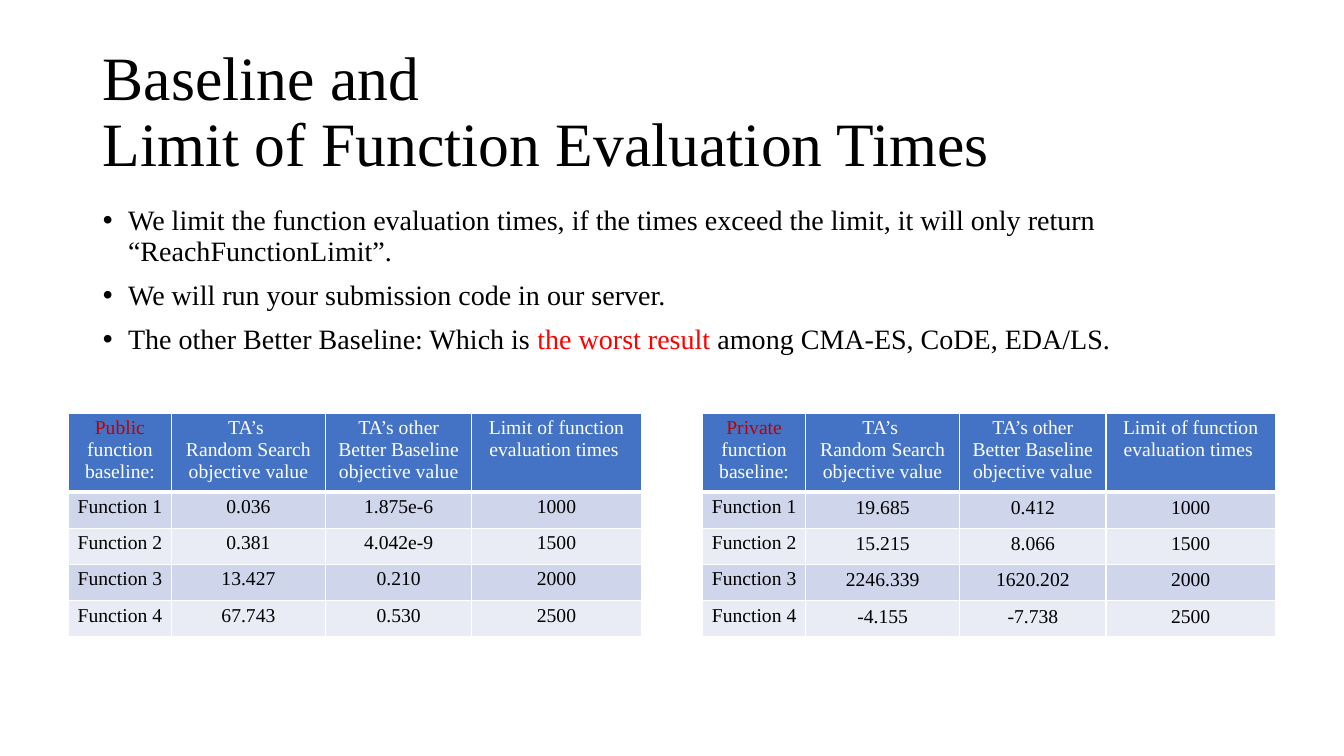
from lxml.etree import SubElement
from pptx import Presentation
from pptx.dml.color import RGBColor
from pptx.enum.text import MSO_ANCHOR as Anchor, MSO_AUTO_SIZE as AutoSize, PP_ALIGN as Align
from pptx.oxml.ns import qn
from pptx.util import Inches, Pt

BLACK = RGBColor(0x00, 0x00, 0x00)
WHITE = RGBColor(0xFF, 0xFF, 0xFF)
RED = RGBColor(0xFF, 0x00, 0x00)
DARK_RED = RGBColor(0xC0, 0x00, 0x00)
BLUE = RGBColor(0x44, 0x72, 0xC4)
BANDS = [RGBColor(0xCF, 0xD5, 0xEA), RGBColor(0xE9, 0xEB, 0xF5)]

COLUMN_WIDTHS = [1.02, 1.53, 1.45, 1.68]
ROW_HEIGHTS = [0.78] + [0.36] * 4
TIGHT, ROOMY = (0.07, 0.04), (0.1, 0.05)
LIMITS = ["1000", "1500", "2000", "2500"]

BULLETS = [
    [("We limit the function evaluation times, if the times exceed the limit, "
      "it will only return “ReachFunctionLimit”.", BLACK)],
    [("We will run your submission code in our server.", BLACK)],
    [("The other Better Baseline: Which is ", BLACK),
     ("the worst result ", RED),
     ("among CMA-ES, CoDE, EDA/LS.", BLACK)],
]
HEADINGS = [
    ["TA’s ", "Random Search", "objective value"],
    ["TA’s other Better Baseline objective value"],
    ["Limit of function evaluation times "],
]
# Scope, left edge, value cell margins, random search values, better baseline values
BASELINES = [
    ("Public", 0.68, TIGHT,
     ["0.036", "0.381", "13.427", "67.743"],
     ["1.875e-6", "4.042e-9", "0.210", "0.530"]),
    ("Private", 6.97, ROOMY,
     ["19.685", "15.215", "2246.339", "-4.155"],
     ["0.412", "8.066", "1620.202", "-7.738"]),
]


class SlideBuilder:
    def __init__(self, page, font_name):
        self.page = page
        self.font_name = font_name

    def add_spans(self, para, spans, size, align):
        """Fill a paragraph with (text, colour) spans."""
        para.alignment = align
        para.font.name = self.font_name
        para.font.size = Pt(size)
        para.font.bold = False
        for text, color in spans:
            span = para.add_run()
            span.text = text
            span.font.color.rgb = color

    def place(self, holder, left, top, width, height, anchor):
        holder.left, holder.top = Inches(left), Inches(top)
        holder.width, holder.height = Inches(width), Inches(height)
        frame = holder.text_frame
        frame.word_wrap = True
        frame.auto_size = AutoSize.NONE
        frame.vertical_anchor = anchor
        return frame

    def title(self, lines):
        frame = self.place(self.page.shapes.title, 0.92, 0.4, 11.5, 1.45, Anchor.MIDDLE)
        para = frame.paragraphs[0]
        para.line_spacing = 0.9
        for index, line in enumerate(lines):
            if index:
                para.add_line_break()
            self.add_spans(para, [(line, BLACK)], 44, Align.LEFT)

    def bullets(self, items):
        frame = self.place(self.page.placeholders[1], 0.92, 2, 11.5, 4.76, Anchor.TOP)
        for index, spans in enumerate(items):
            para = frame.add_paragraph() if index else frame.paragraphs[0]
            para.line_spacing = 0.9
            para.space_before = Pt(10)
            self.add_spans(para, spans, 20, Align.LEFT)
            properties = para._p.get_or_add_pPr()
            properties.set("marL", str(Inches(0.25)))
            properties.set("indent", str(Inches(-0.25)))

    def borders(self, cell, bottom_width):
        properties = cell._tc.get_or_add_tcPr()
        for side, width in (("L", 1), ("R", 1), ("T", 1), ("B", bottom_width)):
            line = SubElement(properties, qn(f"a:ln{side}"), w=str(Pt(width)))
            fill = SubElement(line, qn("a:solidFill"))
            SubElement(fill, qn("a:srgbClr"), val=str(WHITE))

    def cell(self, cell, paragraphs, fill, margins=TIGHT, bottom_width=1):
        cell.margin_left = cell.margin_right = Inches(margins[0])
        cell.margin_top = cell.margin_bottom = Inches(margins[1])
        cell.vertical_anchor = Anchor.TOP
        self.borders(cell, bottom_width)
        cell.fill.solid()
        cell.fill.fore_color.rgb = fill
        frame = cell.text_frame
        for index, spans in enumerate(paragraphs):
            para = frame.add_paragraph() if index else frame.paragraphs[0]
            self.add_spans(para, spans, 14, Align.CENTER)

    def baseline_table(self, scope, left, margins, random_search, better):
        table = self.page.shapes.add_table(
            len(ROW_HEIGHTS), len(COLUMN_WIDTHS), Inches(left), Inches(4.1),
            Inches(sum(COLUMN_WIDTHS)), Inches(sum(ROW_HEIGHTS))).table
        for column, width in zip(table.columns, COLUMN_WIDTHS):
            column.width = Inches(width)
        for row, height in zip(table.rows, ROW_HEIGHTS):
            row.height = Inches(height)

        header = [[[(scope, DARK_RED), (" function baseline:", WHITE)]]]
        header += [[[(line, WHITE)] for line in lines] for lines in HEADINGS]
        for column, paragraphs in enumerate(header):
            self.cell(table.cell(0, column), paragraphs, BLUE, bottom_width=3)

        for row, values in enumerate(zip(random_search, better, LIMITS), start=1):
            for column, text in enumerate((f"Function {row}", *values)):
                self.cell(table.cell(row, column), [[(text, BLACK)]],
                          BANDS[(row - 1) % 2], margins if column else TIGHT)


def main():
    deck = Presentation()
    deck.slide_width, deck.slide_height = Inches(13.33), Inches(7.5)
    page = deck.slides.add_slide(deck.slide_layouts[1])
    builder = SlideBuilder(page, "Times New Roman")
    builder.title(["Baseline and ", "Limit of Function Evaluation Times"])
    builder.bullets(BULLETS)
    for baseline in BASELINES:
        builder.baseline_table(*baseline)
    deck.save("out.pptx")


if __name__ == "__main__":
    main()
